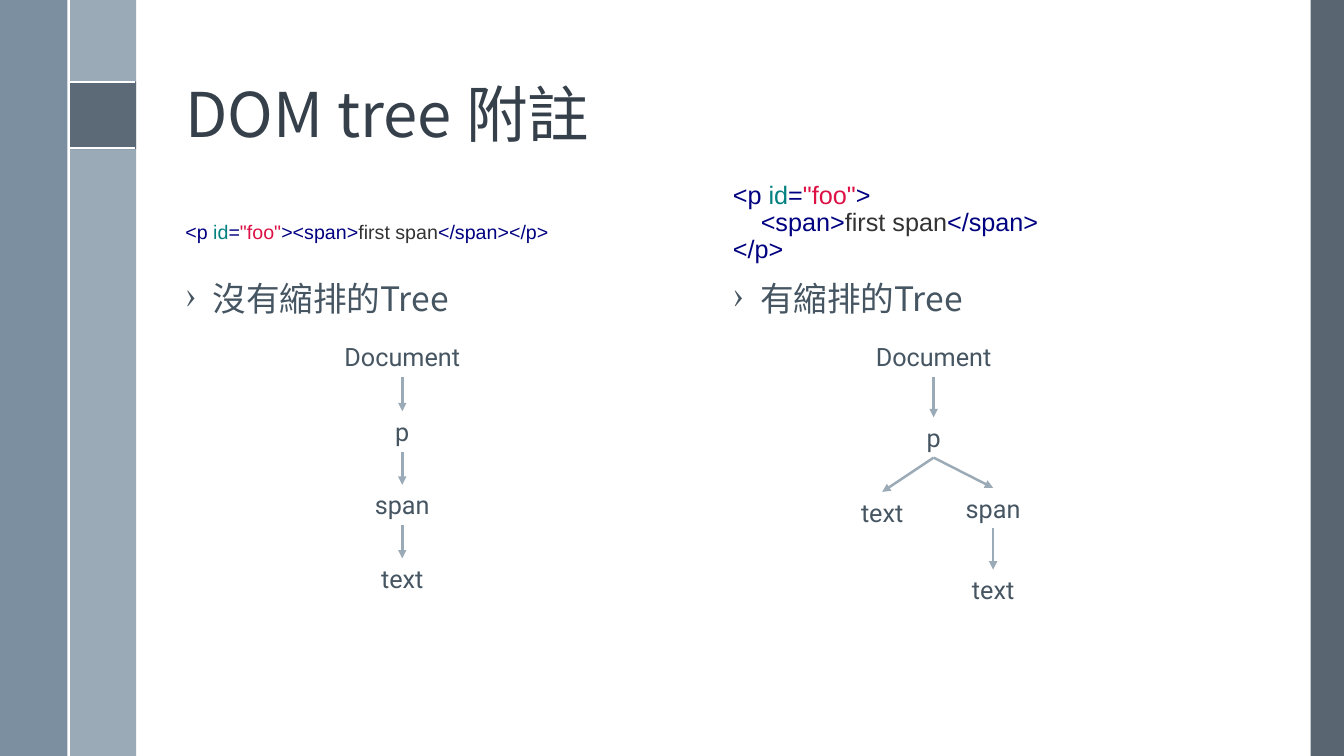
from lxml.etree import SubElement
from pptx import Presentation
from pptx.dml.color import RGBColor
from pptx.enum.shapes import MSO_CONNECTOR, MSO_SHAPE
from pptx.enum.text import MSO_ANCHOR, PP_ALIGN
from pptx.oxml.ns import qn
from pptx.util import Inches, Pt

SLATE, PALE, WHITE = "465562", "9BAAB7", "FFFFFF"
NAVY, TEAL, RED, INK = "000080", "008080", "DD1144", "333333"
CJK = "Noto Sans CJK TC"

prs = Presentation()
prs.slide_width, prs.slide_height = Inches(13.33), Inches(7.5)
s = prs.slides.add_slide(prs.slide_layouts[6])


def add_text(box, lines, font, size, anchor=MSO_ANCHOR.TOP, spacing=0.9):
    """Add a text box; each line is a list of (text, colour) runs."""
    sp = s.shapes.add_textbox(*map(Inches, box))
    tf = sp.text_frame
    tf.word_wrap = True
    tf.vertical_anchor = anchor
    for i, line in enumerate(lines):
        p = tf.paragraphs[0] if i == 0 else tf.add_paragraph()
        p.line_spacing = spacing
        p.font.name, p.font.size = font, Pt(size)
        for text, color in line:
            r = p.add_run()
            r.text = text
            r.font.color.rgb = RGBColor.from_string(color)
            r.font.name, r.font.size = font, Pt(size)
            SubElement(r.font._element, qn("a:ea"), typeface=font)
    return sp


def add_line(start, end, color, width):
    c = s.shapes.add_connector(MSO_CONNECTOR.STRAIGHT, *map(Inches, start + end))
    c.line.color.rgb = RGBColor.from_string(color)
    c.line.width = Pt(width)
    SubElement(c._element.spPr, qn("a:effectLst"))
    return c


# Side bands: left, top, width, height, colour, opacity in percent
for *box, color, opacity in [
    (13, 0, 0.33, 7.5, "475562", 90),
    (0.68, 0, 0.67, 7.5, PALE, 100),
    (0, 0, 0.67, 7.5, "6A8093", 88),
    (0.68, 0.81, 0.67, 0.67, "475562", 75),
]:
    band = s.shapes.add_shape(MSO_SHAPE.RECTANGLE, *map(Inches, box))
    band.shadow.inherit = False
    band.line.fill.background()
    band.fill.solid()
    band.fill.fore_color.rgb = RGBColor.from_string(color)
    if opacity < 100:
        clr = band._element.spPr.find(".//" + qn("a:srgbClr"))
        SubElement(clr, qn("a:alpha"), val=str(opacity * 1000))

for start, end in [((0.68, 0.81), (1.34, 0.81)),
                   ((0.68, 1.47), (1.34, 1.47)),
                   ((0.68, 0), (0.68, 7.5))]:
    add_line(start, end, WHITE, 1.5)

add_text((1.74, 0.19, 10.7, 1.36), [[("DOM tree 附註", "35404A")]],
         CJK, 44, MSO_ANCHOR.BOTTOM)

# Code samples
open_p = [("<p ", NAVY), ("id", TEAL), ("=", NAVY), ('"foo"', RED)]
inline_code = [open_p + [("><span>", NAVY), ("first span", INK),
                         ("</span></p>", NAVY)]]
indented_code = [
    open_p + [(">", NAVY)],
    [("    <span>", NAVY), ("first span", INK), ("</span>", NAVY)],
    [("</p>", NAVY)],
]
add_text((1.74, 1.64, 5.27, 0.83), inline_code, "Arial", 14, MSO_ANCHOR.BOTTOM)
add_text((7.17, 1.64, 5.27, 1.03), indented_code, "Arial", 18, MSO_ANCHOR.BOTTOM)

# Bulleted captions
for left, caption in [(1.74, "沒有縮排的Tree"), (7.17, "有縮排的Tree")]:
    sp = add_text((left, 2.75, 5.27, 4), [[(caption, SLATE)]], CJK, 24)
    pPr = sp.text_frame.paragraphs[0]._p.get_or_add_pPr()
    pPr.set("marL", str(Inches(0.27)))
    pPr.set("indent", str(-Inches(0.27)))
    bullet = pPr.makeelement(qn("a:buChar"), {"char": "›"})
    pPr.insert_element_before(bullet, "a:tabLst", "a:defRPr", "a:extLst")

# Trees: label, centre x, top, width, index of the parent node
NODE_H = 0.4
trees = [
    [("Document", 3.99, 3.34, 1.53, None),
     ("p", 3.99, 4.08, 0.62, 0),
     ("span", 3.99, 4.81, 0.86, 1),
     ("text", 3.99, 5.54, 0.86, 2)],
    [("Document", 9.26, 3.34, 1.53, None),
     ("p", 9.26, 4.14, 0.62, 0),
     ("text", 8.75, 4.88, 0.86, 1),
     ("span", 9.85, 4.84, 0.86, 1),
     ("text", 9.85, 5.65, 0.86, 3)],
]
for tree in trees:
    nodes = []
    for label, x, top, width, parent in tree:
        node = add_text((x - width / 2, top, width, NODE_H),
                        [[(label, SLATE)]], "Roboto", 18, spacing=1.0)
        node.text_frame.paragraphs[0].alignment = PP_ALIGN.CENTER
        nodes.append(node)
        if parent is not None:
            _, parent_x, parent_top, _, _ = tree[parent]
            arrow = add_line((parent_x, parent_top + NODE_H), (x, top), PALE, 1.75)
            arrow.begin_connect(nodes[parent], 2)
            arrow.end_connect(node, 0)
            SubElement(arrow.line._get_or_add_ln(), qn("a:tailEnd"), type="triangle")

prs.save("out.pptx")
